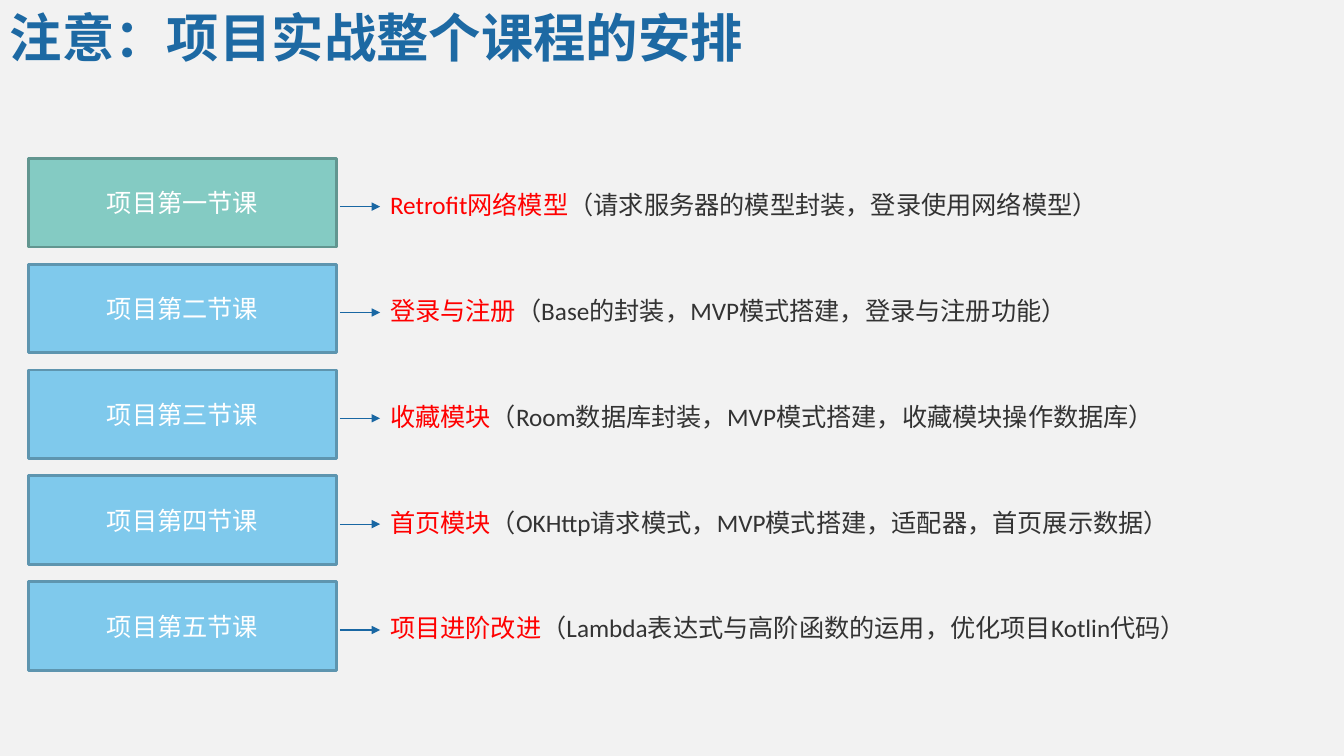
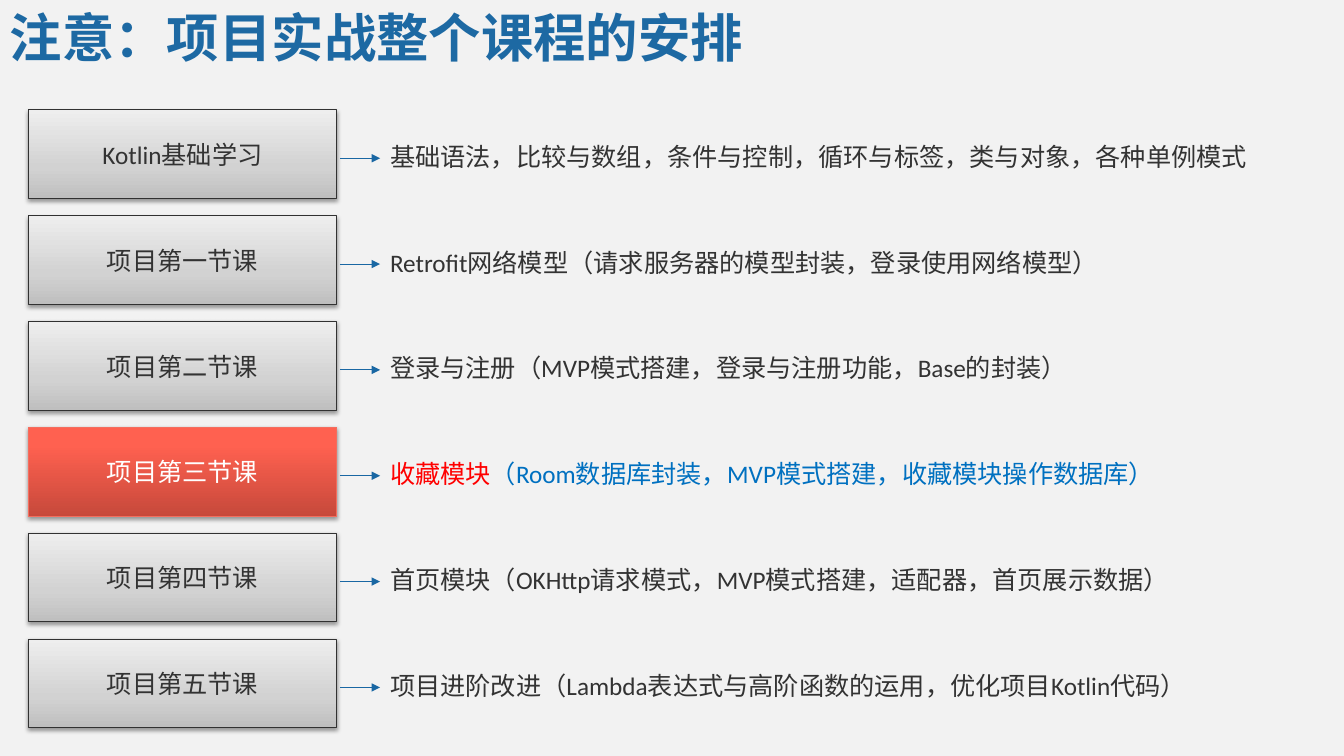
from lxml.etree import SubElement
from pptx import Presentation
from pptx.dml.color import RGBColor
from pptx.enum.lang import MSO_LANGUAGE_ID
from pptx.enum.shapes import MSO_CONNECTOR, MSO_SHAPE
from pptx.enum.text import MSO_ANCHOR, MSO_AUTO_SIZE, PP_ALIGN
from pptx.oxml.ns import qn
from pptx.util import Inches, Pt

BACKGROUND = RGBColor(0xF2, 0xF2, 0xF2)
TITLE_BLUE = RGBColor(0x1D, 0x69, 0xA3)
ARROW_BLUE = RGBColor(0x19, 0x67, 0xA3)
TEXT_BLUE = RGBColor(0x00, 0x70, 0xC0)
DARK = RGBColor(0x33, 0x33, 0x33)
WHITE = RGBColor(0xFF, 0xFF, 0xFF)
RED = RGBColor(0xFF, 0x00, 0x00)
GREEN = RGBColor(0x84, 0xCB, 0xC3)
GREEN_LINE = RGBColor(0x62, 0x96, 0x90)
SKY = RGBColor(0x7F, 0xC9, 0xEC)
SKY_LINE = RGBColor(0x5E, 0x95, 0xAF)
GRAY_LINE = RGBColor(0x32, 0x32, 0x32)
CORAL_LINE = RGBColor(0xF3, 0x6E, 0x5F)
BLACK = RGBColor(0x00, 0x00, 0x00)
GRAY_STOPS = [
    (0, RGBColor(0xBF, 0xBF, 0xBF)),
    (35, RGBColor(0xD2, 0xD2, 0xD2)),
    (100, RGBColor(0xEE, 0xEE, 0xEE)),
]
CORAL_STOPS = [
    (0, RGBColor(0xC7, 0x49, 0x3B)),
    (80, RGBColor(0xFF, 0x61, 0x50)),
    (100, RGBColor(0xFF, 0x63, 0x52)),
]

GREEN_BOX = {"fill": GREEN, "line": GREEN_LINE, "width": 2, "color": WHITE}
SKY_BOX = {"fill": SKY, "line": SKY_LINE, "width": 2, "color": WHITE}
GRAY_BOX = {"fill": GRAY_STOPS, "line": GRAY_LINE, "width": 0.75, "color": DARK}
CORAL_BOX = {"fill": CORAL_STOPS, "line": CORAL_LINE, "width": 0.75, "color": WHITE}

TITLE = "注意：项目实战整个课程的安排"
ROW_PITCH = 1.05

PLAN = [
    ("项目第一节课", GREEN_BOX,
     [("Retrofit网络模型", RED), ("（请求服务器的模型封装，登录使用网络模型）", DARK)]),
    ("项目第二节课", SKY_BOX,
     [("登录与注册", RED), ("（Base的封装，MVP模式搭建，登录与注册功能）", DARK)]),
    ("项目第三节课", SKY_BOX,
     [("收藏模块", RED), ("（Room数据库封装，MVP模式搭建，收藏模块操作数据库）", DARK)]),
    ("项目第四节课", SKY_BOX,
     [("首页模块", RED), ("（OKHttp请求模式，MVP模式搭建，适配器，首页展示数据）", DARK)]),
    ("项目第五节课", SKY_BOX,
     [("项目进阶改进", RED), ("（Lambda表达式与高阶函数的运用，优化项目Kotlin代码）", DARK)]),
]
PROGRESS = [
    ("Kotlin基础学习", GRAY_BOX,
     [("基础语法，比较与数组，条件与控制，循环与标签，类与对象，各种单例模式", DARK)]),
    ("项目第一节课", GRAY_BOX,
     [("Retrofit网络模型（请求服务器的模型封装，登录使用网络模型）", DARK)]),
    ("项目第二节课", GRAY_BOX,
     [("登录与注册（MVP模式搭建，登录与注册功能，Base的封装）", DARK)]),
    ("项目第三节课", CORAL_BOX,
     [("收藏模块", RED), ("（Room数据库封装，MVP模式搭建，收藏模块操作数据库）", TEXT_BLUE)]),
    ("项目第四节课", GRAY_BOX,
     [("首页模块（OKHttp请求模式，MVP模式搭建，适配器，首页展示数据）", DARK)]),
    ("项目第五节课", GRAY_BOX,
     [("项目进阶改进（Lambda表达式与高阶函数的运用，优化项目Kotlin代码）", DARK)]),
]


class CourseDeck:
    def __init__(self):
        self.presentation = Presentation()
        self.presentation.slide_width = Inches(13.33)
        self.presentation.slide_height = Inches(7.5)
        self.slide = None

    def add_slide(self, rows, first_top):
        self.slide = self.presentation.slides.add_slide(self.presentation.slide_layouts[6])
        self.slide.background.fill.solid()
        self.slide.background.fill.fore_color.rgb = BACKGROUND
        self.text(0, 0, 13.25, 0.73, [(TITLE, TITLE_BLUE)], "Roboto Condensed", 37.4, True)
        for index, (label, style, description) in enumerate(rows):
            top = first_top + index * ROW_PITCH
            self.box(0.28, top, label, style)
            self.arrow(3.37, 3.77, top + 0.48)
            self.text(3.77, top + 0.26, 9.27, 0.4, description)

    def runs(self, paragraph, pieces, name="Calibri", size=18, bold=None):
        for content, color in pieces:
            run = paragraph.add_run()
            run.text = content
            run.font.name = name
            run.font.size = Pt(size)
            run.font.bold = bold
            run.font.color.rgb = color
            run.font.language_id = MSO_LANGUAGE_ID.SIMPLIFIED_CHINESE

    def text(self, left, top, width, height, pieces, name="Calibri", size=18, bold=None):
        shape = self.slide.shapes.add_textbox(
            Inches(left), Inches(top), Inches(width), Inches(height))
        frame = shape.text_frame
        frame.word_wrap = True
        frame.auto_size = MSO_AUTO_SIZE.SHAPE_TO_FIT_TEXT
        self.runs(frame.paragraphs[0], pieces, name, size, bold)

    def box(self, left, top, label, style):
        shape = self.slide.shapes.add_shape(
            MSO_SHAPE.RECTANGLE, Inches(left), Inches(top), Inches(3.06), Inches(0.88))
        shape.shadow.inherit = False
        shape.line.color.rgb = style["line"]
        shape.line.width = Pt(style["width"])
        if isinstance(style["fill"], list):
            self.gradient(shape, style["fill"])
            self.shadow(shape)
        else:
            shape.fill.solid()
            shape.fill.fore_color.rgb = style["fill"]
        shape.text_frame.word_wrap = True
        shape.text_frame.vertical_anchor = MSO_ANCHOR.MIDDLE
        paragraph = shape.text_frame.paragraphs[0]
        paragraph.alignment = PP_ALIGN.CENTER
        self.runs(paragraph, [(label, style["color"])])

    def gradient(self, shape, stops):
        shape.fill.gradient()
        shape.fill.gradient_angle = 90
        stop_list = shape.element.spPr.find(qn("a:gradFill")).find(qn("a:gsLst"))
        for stop in list(stop_list):
            stop_list.remove(stop)
        for position, color in stops:
            stop = SubElement(stop_list, qn("a:gs"), pos=str(position * 1000))
            SubElement(stop, qn("a:srgbClr"), val=str(color))

    def shadow(self, shape):
        effects = shape.element.spPr.find(qn("a:effectLst"))
        outer = SubElement(
            effects, qn("a:outerShdw"), blurRad=str(Pt(3.1)), dist=str(Pt(1.6)),
            dir="5400000", rotWithShape="0")
        color = SubElement(outer, qn("a:srgbClr"), val=str(BLACK))
        SubElement(color, qn("a:alpha"), val="38000")

    def arrow(self, start, end, height):
        connector = self.slide.shapes.add_connector(
            MSO_CONNECTOR.STRAIGHT, Inches(start), Inches(height), Inches(end), Inches(height))
        connector.line.color.rgb = ARROW_BLUE
        connector.line.width = Pt(0.75)
        SubElement(connector.line._get_or_add_ln(), qn("a:tailEnd"), type="triangle")
        SubElement(connector.element.spPr, qn("a:effectLst"))


def main():
    deck = CourseDeck()
    deck.add_slide(PLAN, 1.57)
    deck.add_slide(PROGRESS, 1.09)
    deck.presentation.save("out.pptx")


if __name__ == "__main__":
    main()
